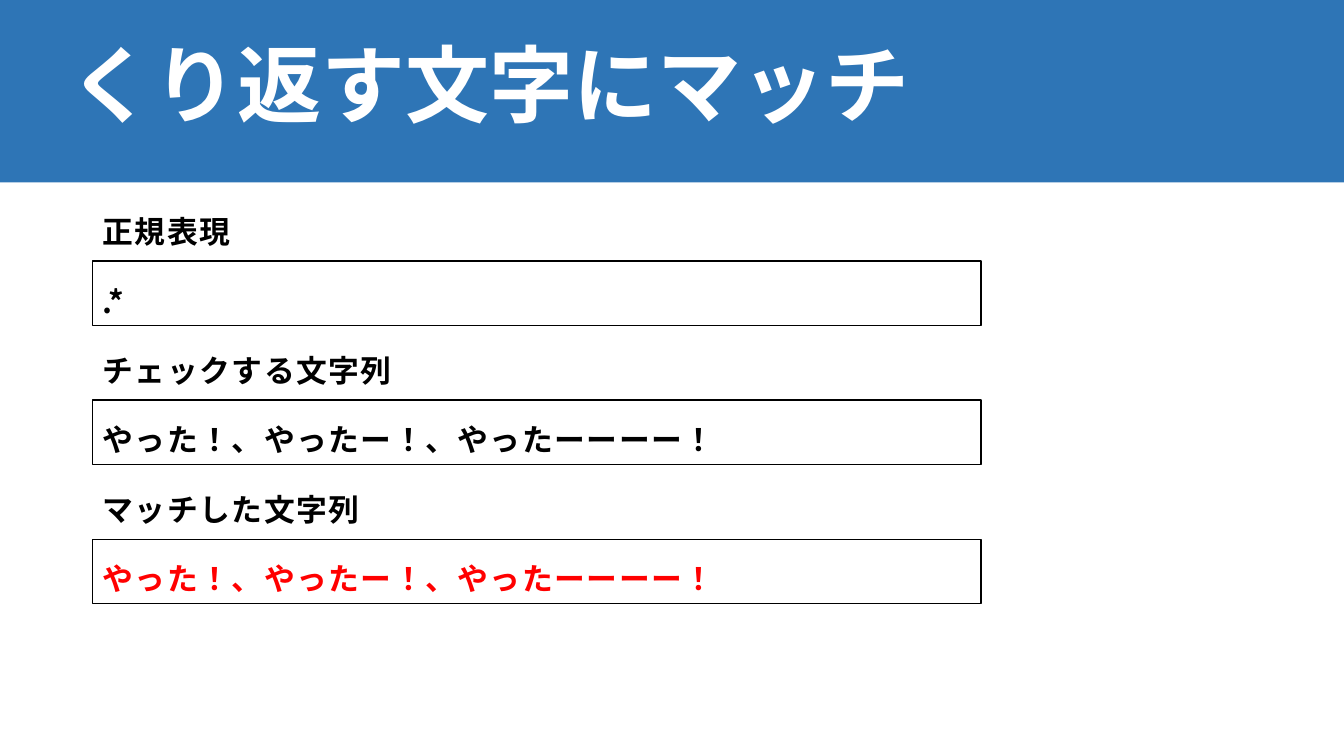
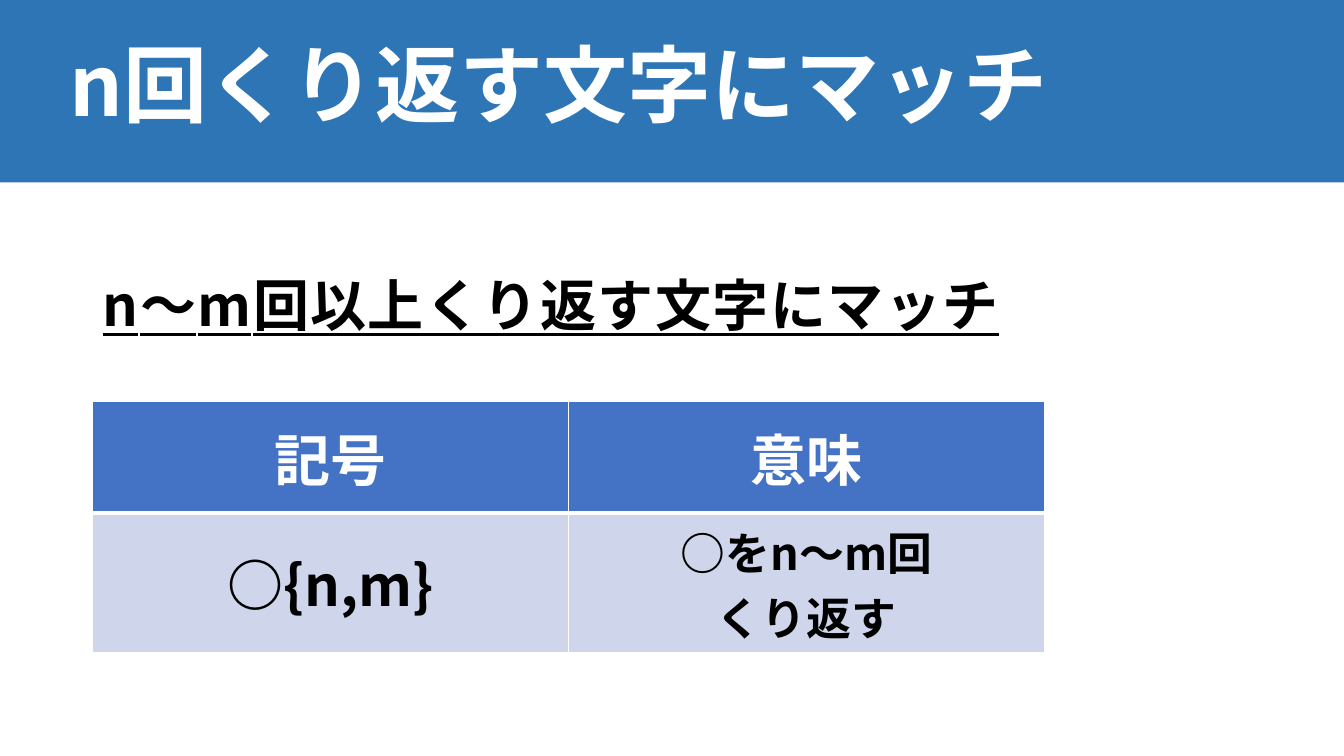
"""Build two slides on matching repeated characters with regular expressions."""
from lxml.etree import SubElement
from pptx import Presentation
from pptx.dml.color import RGBColor
from pptx.enum.lang import MSO_LANGUAGE_ID
from pptx.enum.shapes import MSO_SHAPE
from pptx.enum.text import MSO_ANCHOR, PP_ALIGN
from pptx.oxml.ns import qn
from pptx.util import Inches, Pt

FONT = "Noto Sans CJK JP"
WHITE, BLACK, RED = "FFFFFF", "000000", "FF0000"
BAND, HEADER, CELL = "2E75B6", "4472C4", "CFD5EA"
SLIDE_WIDTH = 13.33
MARGIN = 0.92
TEXT_WIDTH = 11.5


def rgb(value):
    """Turn a hex string into a colour."""
    return RGBColor.from_string(value)


def style_paragraph(paragraph, size, color, tracking=None, underline=None):
    """Format every run of a paragraph in the shared bold face."""
    for run in paragraph.runs:
        run.font.name = FONT
        run.font.size = Pt(size)
        run.font.bold = True
        run.font.underline = underline
        run.font.language_id = MSO_LANGUAGE_ID.JAPANESE
        run.font.color.rgb = rgb(color)
        properties = run._r.get_or_add_rPr()
        SubElement(properties, qn("a:ea"), typeface=FONT)
        if tracking:
            properties.set("spc", str(round(tracking * 100)))


def add_rectangle(slide, left, top, width, height, fill=None, line=None):
    """Add a flat rectangle with an optional fill and outline."""
    rectangle = slide.shapes.add_shape(
        MSO_SHAPE.RECTANGLE, Inches(left), Inches(top), Inches(width), Inches(height))
    rectangle.shadow.inherit = False
    if fill:
        rectangle.fill.solid()
        rectangle.fill.fore_color.rgb = rgb(fill)
    else:
        rectangle.fill.background()
    if line:
        rectangle.line.color.rgb = rgb(line)
        rectangle.line.width = Pt(1)
    else:
        rectangle.line.fill.background()


def add_text_frame(slide, left, top, height):
    """Add a wrapping text box and return its frame."""
    frame = slide.shapes.add_textbox(
        Inches(left), Inches(top), Inches(TEXT_WIDTH), Inches(height)).text_frame
    frame.word_wrap = True
    return frame


def add_titled_slide(deck, title):
    """Add a blank slide with the title band."""
    slide = deck.slides.add_slide(deck.slide_layouts[6])
    add_rectangle(slide, 0, 0, SLIDE_WIDTH, 1.81, fill=BAND)
    frame = add_text_frame(slide, 0.59, 0.16, 1.45)
    frame.vertical_anchor = MSO_ANCHOR.MIDDLE
    frame.text = title
    heading = frame.paragraphs[0]
    heading.line_spacing = 0.9
    style_paragraph(heading, 60, WHITE)
    return slide


def add_body(slide, top, lines, size, underline=None):
    """Add body lines given as pairs of text and colour."""
    frame = add_text_frame(slide, MARGIN, top, 4.76)
    frame.text = "\n".join(text for text, _ in lines)
    for index, (paragraph, (_, color)) in enumerate(zip(frame.paragraphs, lines)):
        paragraph.line_spacing = 1.5
        if index:
            paragraph.space_before = Pt(10)
        style_paragraph(paragraph, size, color, tracking=1.1, underline=underline)


def add_borders(cell, widths):
    """Draw white cell borders with widths for left, right, top and bottom."""
    properties = cell._tc.get_or_add_tcPr()
    for side, width in zip("LRTB", widths):
        border = SubElement(properties, qn(f"a:ln{side}"), w=str(Pt(width)))
        SubElement(SubElement(border, qn("a:solidFill")), qn("a:srgbClr"), val=WHITE)


def fill_cell(cell, text, size, color, fill, widths):
    """Write centred text into a bordered and filled cell."""
    add_borders(cell, widths)
    cell.fill.solid()
    cell.fill.fore_color.rgb = rgb(fill)
    cell.vertical_anchor = MSO_ANCHOR.MIDDLE
    cell.text_frame.text = text
    for paragraph in cell.text_frame.paragraphs:
        paragraph.alignment = PP_ALIGN.CENTER
        style_paragraph(paragraph, size, color)


def add_symbol_table(slide, top, rows):
    """Add the table of symbols and meanings, with the header in the first row."""
    heights = (1.11, 1.38)
    column_width = 4.72
    table = slide.shapes.add_table(
        len(rows), 2, Inches(MARGIN), Inches(top),
        Inches(2 * column_width), Inches(sum(heights))).table
    for column in table.columns:
        column.width = Inches(column_width)
    for row_index, (height, entries) in enumerate(zip(heights, rows)):
        table.rows[row_index].height = Inches(height)
        is_header = row_index == 0
        color, fill = (WHITE, HEADER) if is_header else (BLACK, CELL)
        widths = (1, 1, 1, 3) if is_header else (1, 1, 3, 1)
        for column_index, (text, size) in enumerate(entries):
            fill_cell(table.cell(row_index, column_index), text, size, color, fill, widths)


def add_match_slide(deck):
    """Build the slide that shows a pattern, its input and its match."""
    slide = add_titled_slide(deck, "くり返す文字にマッチ")
    sample = "やった！、やったー！、やったーーーー！"
    add_body(slide, 1.88, [
        ("正規表現", BLACK),
        (".*", BLACK),
        ("チェックする文字列", BLACK),
        (sample, BLACK),
        ("マッチした文字列", BLACK),
        (sample, RED),
    ], 22)
    for row in range(3):
        add_rectangle(slide, MARGIN, 2.59 + 1.38 * row, 8.81, 0.64, line=BLACK)


def add_count_slide(deck):
    """Build the slide that explains the counted repetition."""
    slide = add_titled_slide(deck, "n回くり返す文字にマッチ")
    add_body(slide, 2.3, [("n～m回以上くり返す文字にマッチ", BLACK)], 40, underline=True)
    add_symbol_table(slide, 3.98, [
        [("記号", 40), ("意味", 40)],
        [("○{n,m}", 40), ("○をn～m回\nくり返す", 32)],
    ])


def main():
    """Create and save the presentation."""
    deck = Presentation()
    deck.slide_width = Inches(SLIDE_WIDTH)
    deck.slide_height = Inches(7.5)
    add_match_slide(deck)
    add_count_slide(deck)
    deck.save("out.pptx")


if __name__ == "__main__":
    main()
